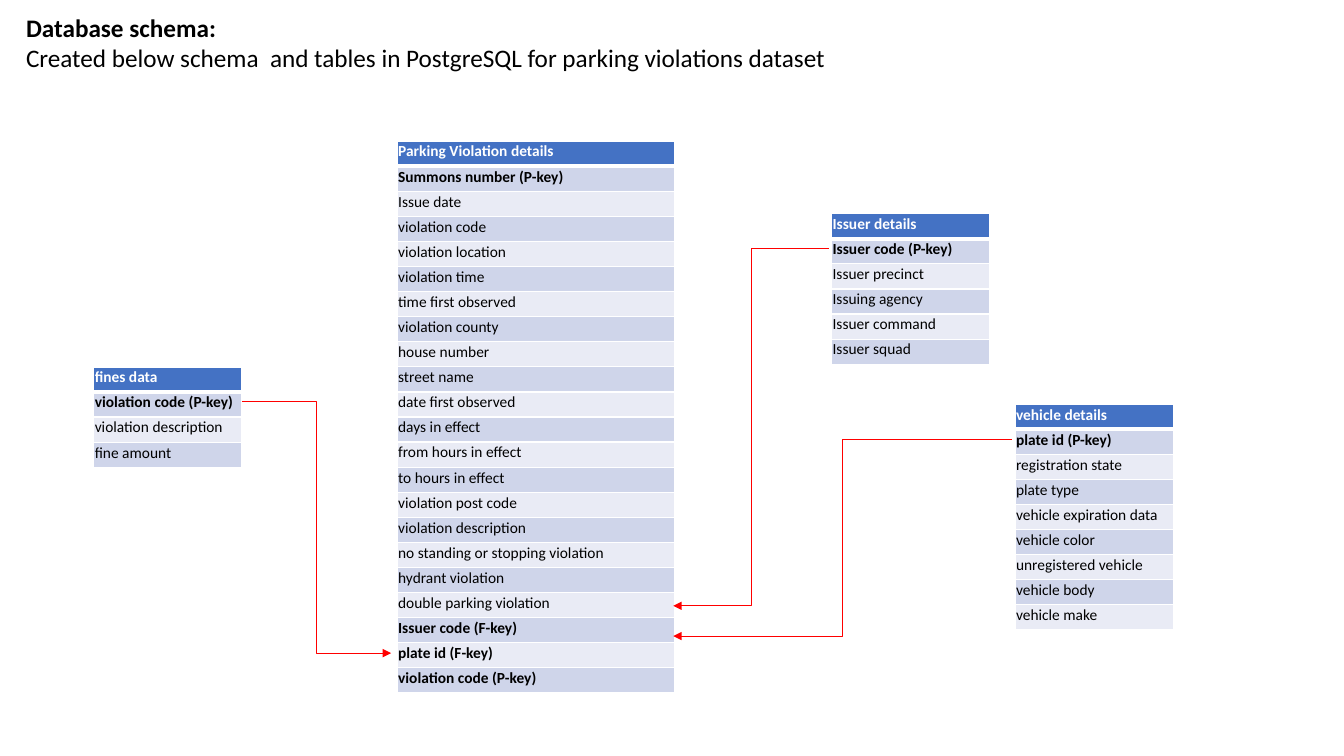
"""Builds a slide showing the database schema of a parking violations dataset."""
import pptx
import pptx.dml.color
import pptx.enum.shapes
import pptx.enum.text
import pptx.oxml
import pptx.oxml.ns
import pptx.util

RGBColor = pptx.dml.color.RGBColor
BLACK = RGBColor(0x00, 0x00, 0x00)
WHITE = RGBColor(0xFF, 0xFF, 0xFF)
RED = RGBColor(0xFF, 0x00, 0x00)
HEADER_BLUE = RGBColor(0x44, 0x72, 0xC4)
BANDS = (RGBColor(0xE9, 0xEB, 0xF5), RGBColor(0xCF, 0xD5, 0xEA))

SLIDE_WIDTH = pptx.util.Inches(13.33)
SLIDE_HEIGHT = pptx.util.Inches(7.5)
GRID_COLUMNS = 40
GRID_ROWS = 30

ENTITIES = [
    (11.82, 5.6, 8.25, [
        "Parking Violation details", "Summons number (P-key)", "Issue date",
        "violation code", "violation location", "violation time",
        "time first observed", "violation county", "house number",
        "street name", "date first observed", "days in effect",
        "from hours in effect", "to hours in effect", "violation post code",
        "violation description", "no standing or stopping violation",
        "hydrant violation", "double parking violation",
        "Issuer code (F-key)", "plate id (F-key)", "violation code (P-key)"]),
    (24.75, 8.48, 4.71, [
        "Issuer details", "Issuer code (P-key)", "Issuer precinct",
        "Issuing agency", "Issuer command", "Issuer squad"]),
    (30.21, 16.04, 4.71, [
        "vehicle details", "plate id (P-key)", "registration state",
        "plate type", "vehicle expiration data", "vehicle color",
        "unregistered vehicle", "vehicle body", "vehicle make"]),
    (2.79, 14.56, 4.41, [
        "fines data", "violation code (P-key)", "violation description",
        "fine amount"]),
]

RELATIONS = [
    ((7.2, 15.92), (11.64, 25.92)),
    ((24.66, 9.84), (20.04, 24.04)),
    ((30.12, 17.44), (20.04, 25.24)),
]

HEADING = [
    ("Database schema:", True),
    ("Created below schema  and tables in PostgreSQL for parking violations dataset", False),
]


class SchemaSlide:
    """Holds the style and the current slide."""

    font = "Calibri"
    heading_size = pptx.util.Pt(18)
    field_size = pptx.util.Pt(11)
    field_height = 0.84
    frame_height = 0.97

    def __init__(self, slide):
        """Keep the slide to draw on."""
        self.slide = slide

    def across(self, columns):
        """Turn grid columns into a length."""
        return round(SLIDE_WIDTH * columns / GRID_COLUMNS)

    def down(self, rows):
        """Turn grid rows into a length."""
        return round(SLIDE_HEIGHT * rows / GRID_ROWS)

    def add_span(self, para, text, size, color, bold):
        """Add one styled run to a paragraph."""
        span = para.add_run()
        span.text = text
        span.font.name = self.font
        span.font.size = size
        span.font.bold = bold
        span.font.color.rgb = color

    def heading(self, left, top, width, height, lines):
        """Add a text box with one paragraph per line."""
        box = self.slide.shapes.add_textbox(
            self.across(left), self.down(top), self.across(width), self.down(height))
        frame = box.text_frame
        frame.word_wrap = True
        frame.auto_size = pptx.enum.text.MSO_AUTO_SIZE.SHAPE_TO_FIT_TEXT
        for index, (text, bold) in enumerate(lines):
            para = frame.add_paragraph() if index else frame.paragraphs[0]
            self.add_span(para, text, self.heading_size, BLACK, bold)

    def borders(self, cell, bottom_width):
        """Give a cell white borders."""
        properties = cell._tc.get_or_add_tcPr()
        namespace = pptx.oxml.ns.nsdecls("a")
        for index, side in enumerate("LRTB"):
            width = pptx.util.Pt(bottom_width if side == "B" else 1)
            properties.insert(index, pptx.oxml.parse_xml(
                f'<a:ln{side} {namespace} w="{width}"><a:solidFill>'
                f'<a:srgbClr val="{WHITE}"/></a:solidFill></a:ln{side}>'))

    def entity(self, left, top, width, names):
        """Add a one-column table: a header and its banded fields."""
        count = len(names)
        holder = self.slide.shapes.add_table(
            count, 1, self.across(left), self.down(top),
            self.across(width), self.down(count * self.field_height))
        for index, name in enumerate(names):
            header = index == 0
            cell = holder.table.cell(index, 0)
            cell.margin_left = cell.margin_right = cell.margin_top = pptx.util.Inches(0.01)
            cell.margin_bottom = pptx.util.Inches(0.05)
            cell.vertical_anchor = pptx.enum.text.MSO_ANCHOR.BOTTOM
            cell.fill.solid()
            cell.fill.fore_color.rgb = HEADER_BLUE if header else BANDS[index % 2]
            if header:
                self.borders(cell, 3)
            self.add_span(cell.text_frame.paragraphs[0], name, self.field_size,
                          WHITE if header else BLACK, header or "-key" in name)
        holder.height = self.down(count * self.frame_height)

    def relation(self, start, end):
        """Add a red elbow arrow from a key to its reference."""
        arrow = self.slide.shapes.add_connector(
            pptx.enum.shapes.MSO_CONNECTOR.ELBOW,
            self.across(start[0]), self.down(start[1]),
            self.across(end[0]), self.down(end[1]))
        arrow.line.color.rgb = RED
        arrow.line.width = pptx.util.Pt(0.5)
        namespace = pptx.oxml.ns.nsdecls("a")
        arrow.line._get_or_add_ln().append(
            pptx.oxml.parse_xml(f'<a:tailEnd {namespace} type="triangle"/>'))
        arrow._element.spPr.append(pptx.oxml.parse_xml(f"<a:effectLst {namespace}/>"))


def main():
    """Build and save the deck."""
    deck = pptx.Presentation()
    deck.slide_width = SLIDE_WIDTH
    deck.slide_height = SLIDE_HEIGHT
    page = SchemaSlide(deck.slides.add_slide(deck.slide_layouts[6]))
    for entity in ENTITIES:
        page.entity(*entity)
    for start, end in RELATIONS:
        page.relation(start, end)
    page.heading(0.48, 0.28, 38.82, 5.24, HEADING)
    deck.save("out.pptx")


if __name__ == "__main__":
    main()
